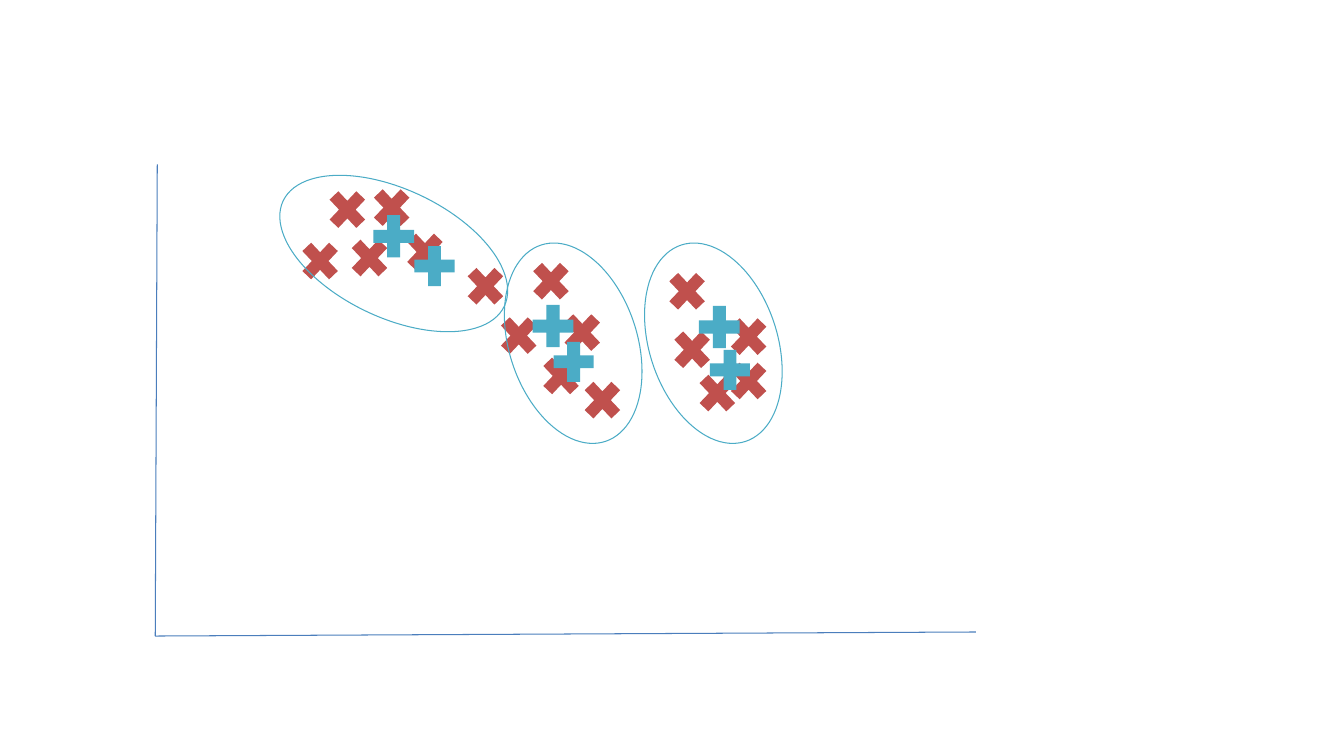
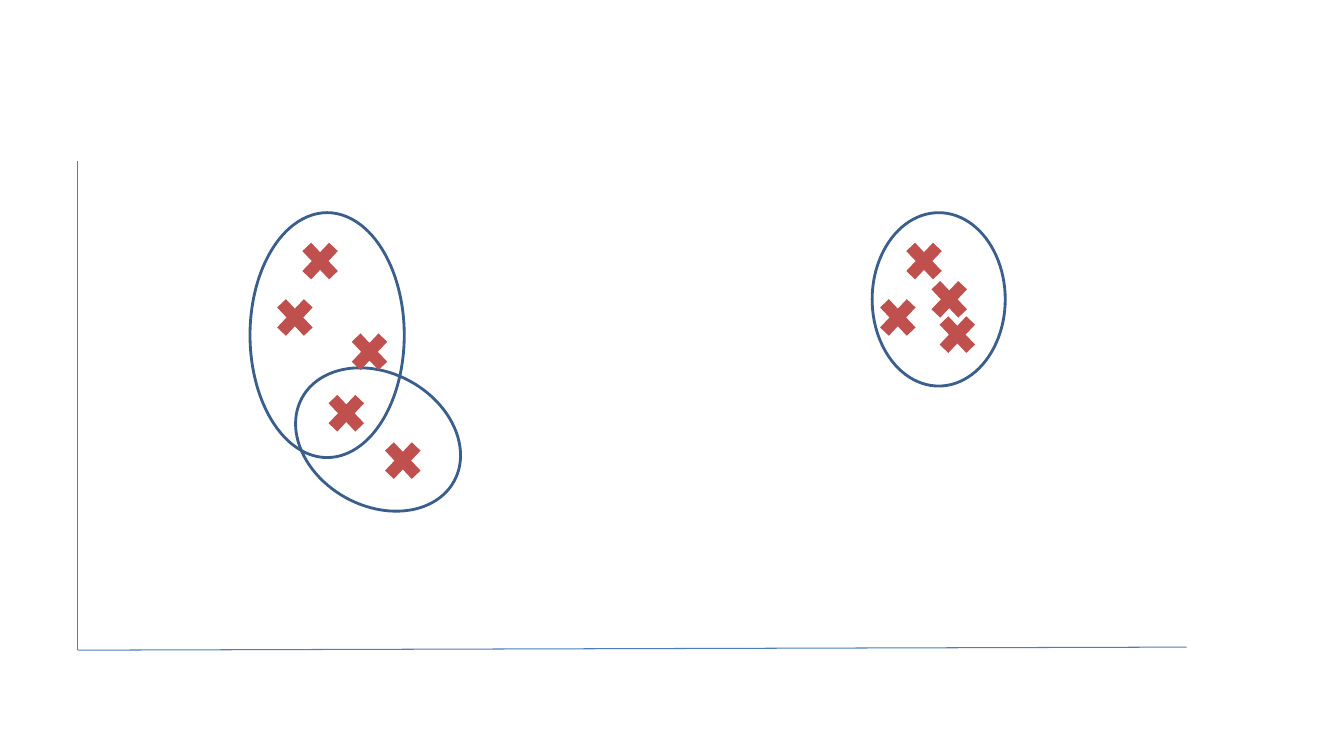
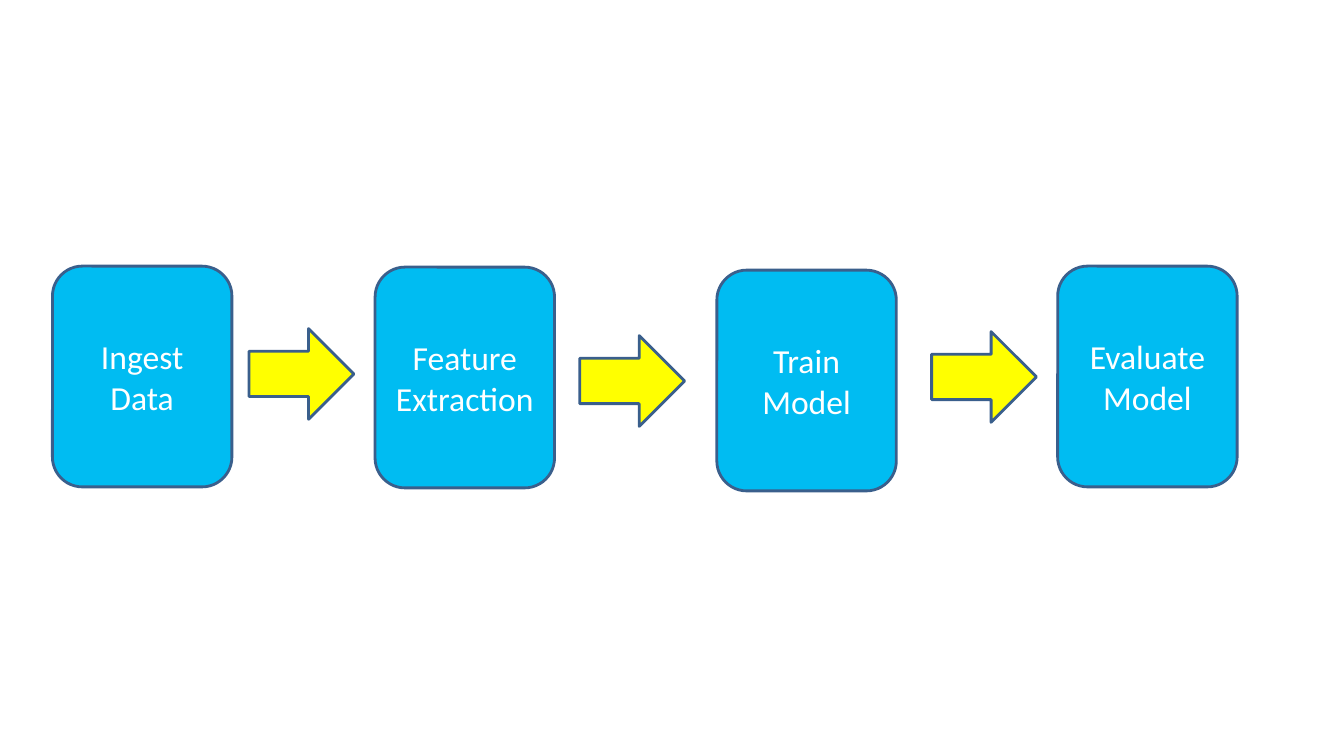
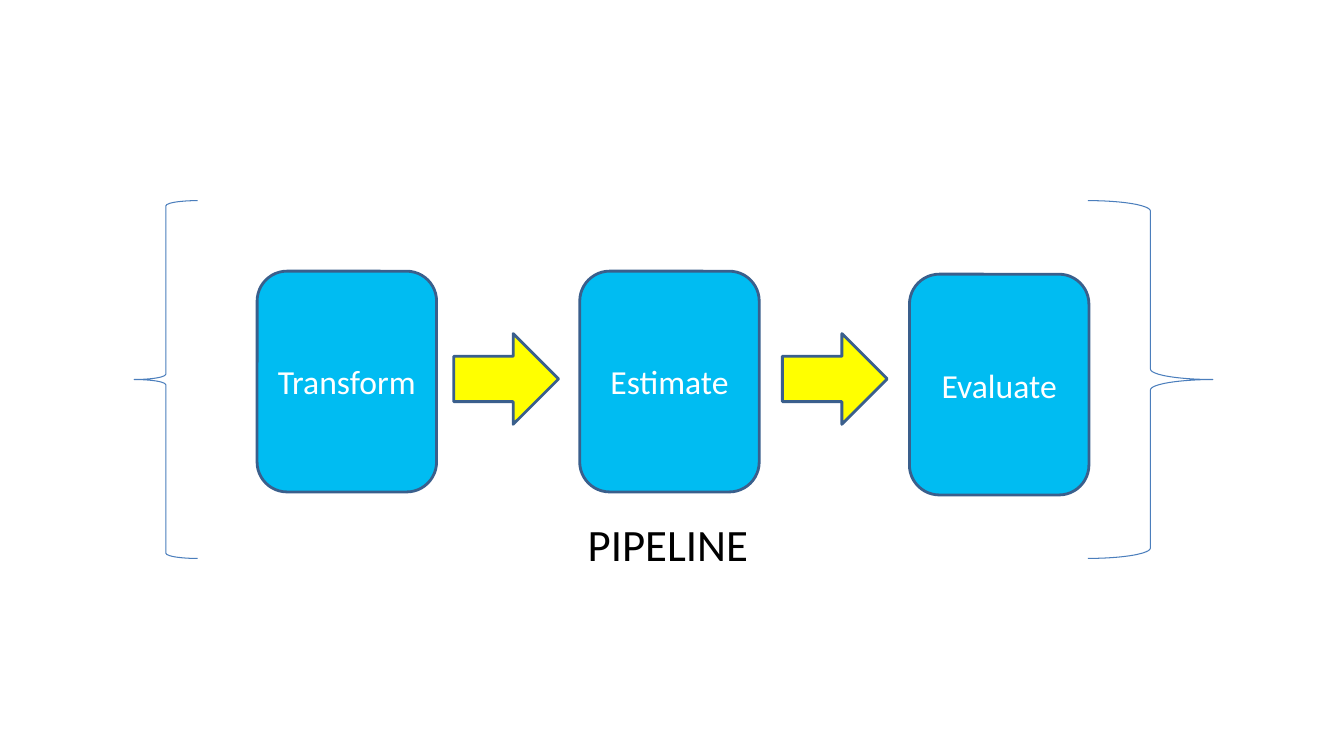
import pptx
import pptx.dml.color
import pptx.enum.shapes
import pptx.enum.text
import pptx.oxml.ns
import pptx.util
from lxml import etree

Inches = pptx.util.Inches
RGBColor = pptx.dml.color.RGBColor
SHAPE = pptx.enum.shapes.MSO_SHAPE
ALIGN = pptx.enum.text.PP_ALIGN

RED = RGBColor(0xC0, 0x50, 0x4D)
TEAL = RGBColor(0x4B, 0xAC, 0xC6)
AXIS_BLUE = RGBColor(0x4B, 0x7E, 0xBC)
OUTLINE_BLUE = RGBColor(0x3A, 0x5F, 0x8C)
STEP_BLUE = RGBColor(0x00, 0xBC, 0xF2)
YELLOW = RGBColor(0xFF, 0xFF, 0x00)
WHITE = RGBColor(0xFF, 0xFF, 0xFF)
BLACK = RGBColor(0x00, 0x00, 0x00)

THIN, THICK = 0.75, 2
POINT_SIZE = (0.51, 0.54)
STEP_SIZE = (1.78, 2.19)
ARROW_SIZE = (1.04, 0.9)


def apply_format(target, values):
    """Set every attribute named in values on target."""
    for name, value in values.items():
        setattr(target, name, value)


class Painter:
    """Holds the shared style and the slide being drawn."""

    step_font = {"name": "Calibri", "size": pptx.util.Pt(24), "color": WHITE}
    label_font = {"name": "Calibri", "size": pptx.util.Pt(32), "color": BLACK}

    def __init__(self):
        """Start a widescreen deck."""
        self.deck = pptx.Presentation()
        apply_format(self.deck, {"slide_width": Inches(13.33),
                                 "slide_height": Inches(7.5)})
        self.page = None

    def add_page(self):
        """Start a blank slide."""
        self.page = self.deck.slides.add_slide(self.deck.slide_layouts[6])

    def stroke(self, line, color, width):
        """Colour a line and set its width in points."""
        line.fill.solid()
        line.fill.fore_color.rgb = color
        line.width = pptx.util.Pt(width)

    def shape(self, kind, place, fill=None, color=None, width=THIN, rotation=0):
        """Add a preset shape; without fill or colour that part stays clear."""
        shape = self.page.shapes.add_shape(kind, *map(Inches, place))
        shape.shadow.inherit = False
        shape.rotation = rotation
        if fill is None:
            shape.fill.background()
        else:
            shape.fill.solid()
            shape.fill.fore_color.rgb = fill
        if color is None:
            shape.line.fill.background()
        else:
            self.stroke(shape.line, color, width)
        return shape

    def add_span(self, para, text, font):
        """Add one formatted span to a paragraph."""
        span = para.add_run()
        span.text = text
        values = dict(font)
        span.font.color.rgb = values.pop("color")
        apply_format(span.font, values)

    def axes(self, top, origin, end):
        """Draw a vertical and a horizontal axis meeting at origin."""
        for start, stop in ((top, origin), (origin, end)):
            axis = self.page.shapes.add_connector(
                pptx.enum.shapes.MSO_CONNECTOR.STRAIGHT,
                *map(Inches, start + stop))
            self.stroke(axis.line, AXIS_BLUE, THIN)
            etree.SubElement(axis._element.spPr,
                             pptx.oxml.ns.qn("a:effectLst"))

    def points(self, places):
        """Draw a red cross at each left, top."""
        for place in places:
            self.shape(SHAPE.MATH_MULTIPLY, place + POINT_SIZE, fill=RED)

    def centroids(self, places, size):
        """Draw a teal plus at each left, top."""
        for place in places:
            self.shape(SHAPE.MATH_PLUS, place + size, fill=TEAL)

    def cluster(self, place, color, width, rotation=0):
        """Draw an ellipse around a group of points."""
        self.shape(SHAPE.OVAL, place, None, color, width, rotation)

    def step(self, left, top, text):
        """Draw a rounded box with a centred step name."""
        box = self.shape(SHAPE.ROUNDED_RECTANGLE, (left, top) + STEP_SIZE,
                         STEP_BLUE, OUTLINE_BLUE, THICK)
        apply_format(box.text_frame, {
            "word_wrap": True,
            "vertical_anchor": pptx.enum.text.MSO_ANCHOR.MIDDLE})
        para = box.text_frame.paragraphs[0]
        para.alignment = ALIGN.CENTER
        self.add_span(para, text, self.step_font)

    def arrows(self, places):
        """Draw a yellow arrow at each left, top."""
        for place in places:
            self.shape(SHAPE.RIGHT_ARROW, place + ARROW_SIZE,
                       YELLOW, OUTLINE_BLUE, THICK)

    def label(self, place, text):
        """Add a plain text label."""
        box = self.page.shapes.add_textbox(*map(Inches, place))
        apply_format(box.text_frame, {
            "word_wrap": True,
            "auto_size": pptx.enum.text.MSO_AUTO_SIZE.SHAPE_TO_FIT_TEXT})
        self.add_span(box.text_frame.paragraphs[0], text, self.label_font)


def draw_centroids(painter):
    """Three clusters with their moving centroids."""
    painter.add_page()
    painter.axes((1.56, 1.63), (1.54, 6.31), (9.68, 6.27))
    left_points = [(2.92, 2.32), (3.19, 1.81), (3.63, 1.79),
                   (3.41, 2.29), (3.96, 2.23), (4.56, 2.57)]
    middle_points = [(5.31, 3.46), (5.72, 3.7), (5.52, 3.03),
                     (4.89, 3.06), (5.21, 2.52)]
    right_points = [(6.86, 3.63), (7.17, 3.51), (6.61, 3.2),
                    (7.17, 3.07), (6.56, 2.62)]
    painter.points(left_points + middle_points + right_points)
    painter.centroids([(3.63, 2.06), (5.21, 2.95), (6.86, 2.96)], (0.55, 0.57))
    painter.centroids([(4.04, 2.37), (5.42, 3.32), (6.97, 3.4)], (0.54, 0.54))
    painter.cluster((2.69, 1.88, 2.43, 1.27), TEAL, THIN, 25.5)
    for left in (4.66, 6.05):
        painter.cluster((left, 2.77, 2.05, 1.27), TEAL, THIN, 71.9)


def draw_overlap(painter):
    """Two overlapping clusters and a separate one."""
    painter.add_page()
    painter.axes((0.77, 1.6), (0.77, 6.45), (11.77, 6.42))
    painter.points([(2.92, 2.32), (2.67, 2.88), (3.74, 4.3), (3.18, 3.83),
                    (8.91, 2.32), (8.65, 2.88), (9.24, 3.05), (9.16, 2.7)])
    painter.cluster((2.48, 2.11, 1.53, 2.43), OUTLINE_BLUE, THICK)
    painter.cluster((8.65, 2.11, 1.32, 1.72), OUTLINE_BLUE, THICK)
    painter.cluster((3.09, 3.5, 1.32, 1.72), OUTLINE_BLUE, THICK, 298.7)
    painter.points([(3.41, 3.22)])


def draw_workflow(painter):
    """Four steps from data to evaluation."""
    painter.add_page()
    for left, top, text in ((0.52, 2.64, "Ingest Data"),
                            (3.72, 2.65, "Feature Extraction"),
                            (7.11, 2.68, "Train Model"),
                            (10.49, 2.64, "Evaluate Model")):
        painter.step(left, top, text)
    painter.arrows([(2.47, 3.26), (5.75, 3.33), (9.24, 3.29)])


def draw_pipeline(painter):
    """Three steps between braces."""
    painter.add_page()
    for left, top, text in ((2.55, 2.69, "Transform"),
                            (5.75, 2.69, "Estimate"),
                            (9.02, 2.72, "Evaluate")):
        painter.step(left, top, text)
    painter.arrows([(4.5, 3.31), (7.76, 3.31)])
    for kind, left, width in ((SHAPE.LEFT_BRACE, 1.33, 0.63),
                              (SHAPE.RIGHT_BRACE, 10.79, 1.24)):
        painter.shape(kind, (left, 1.99, width, 3.55), color=AXIS_BLUE)
    painter.label((5.73, 5.08, 1.98, 0.64), "PIPELINE")


def main():
    """Build and save the deck."""
    painter = Painter()
    for draw in (draw_centroids, draw_overlap, draw_workflow, draw_pipeline):
        draw(painter)
    painter.deck.save("out.pptx")


main()
